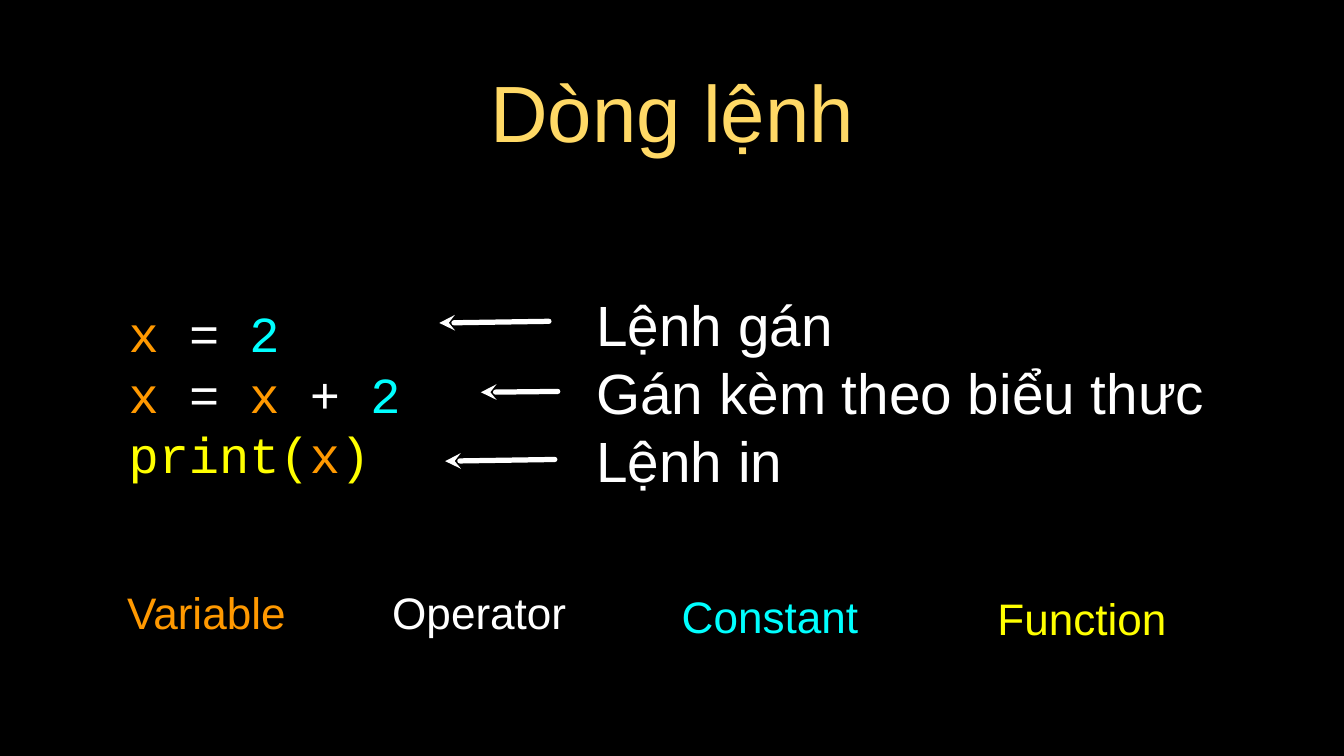
from lxml import etree
from pptx import Presentation
from pptx.dml.color import RGBColor
from pptx.enum.shapes import MSO_CONNECTOR
from pptx.enum.text import MSO_ANCHOR, PP_ALIGN
from pptx.oxml.ns import qn
from pptx.util import Inches, Pt

LEFT, CENTER = PP_ALIGN.LEFT, PP_ALIGN.CENTER
MIDDLE = MSO_ANCHOR.MIDDLE
STRAIGHT = MSO_CONNECTOR.STRAIGHT
SANS, MONO = "Arial", "Courier New"
GOLD, WHITE = "FFD966", "FFFFFF"
ORANGE, CYAN, YELLOW = "FF9900", "00FFFF", "FFFF00"
COLS, ROWS = 32, 18


def paint(code):
    return RGBColor.from_string(code)


class Deck:
    """Holds the style and the current slide; lengths are grid cells."""

    frame = {
        "margin_left": 0, "margin_right": 0, "margin_top": 0,
        "margin_bottom": 0, "word_wrap": True, "vertical_anchor": MIDDLE,
    }

    def __init__(self):
        self.prs = Presentation()
        self.prs.slide_width, self.prs.slide_height = Inches(17.78), Inches(10)
        self.slide = self.prs.slides.add_slide(self.prs.slide_layouts[6])
        fill = self.slide.background.fill
        fill.solid()
        fill.fore_color.rgb = paint("000000")

    def grid(self, col, row):
        return (round(self.prs.slide_width * col / COLS),
                round(self.prs.slide_height * row / ROWS))

    def text(self, box, lines, size, font=SANS, align=LEFT):
        """Each line is a list of (text, colour) runs."""
        shape = self.slide.shapes.add_textbox(
            *self.grid(*box[:2]), *self.grid(*box[2:]))
        body = shape.text_frame
        for name, value in self.frame.items():
            setattr(body, name, value)
        form = {"size": Pt(size), "name": font}
        for i, line in enumerate(lines):
            para = body.add_paragraph() if i else body.paragraphs[0]
            para.alignment = align
            for words, color in line:
                run = para.add_run()
                run.text = words
                for name, value in form.items():
                    setattr(run.font, name, value)
                run.font.color.rgb = paint(color)

    def arrow(self, tip, end):
        """A line from end that points at tip."""
        wire = self.slide.shapes.add_connector(
            STRAIGHT, *self.grid(*tip), *self.grid(*end))
        wire.line.width = Pt(5)
        wire.line.color.rgb = paint(WHITE)
        ln = wire.line._get_or_add_ln()
        ln.set("cap", "rnd")
        etree.SubElement(ln, qn("a:round"))
        etree.SubElement(ln, qn("a:headEnd"), type="stealth")
        etree.SubElement(wire._element.spPr, qn("a:effectLst"))


def main():
    deck = Deck()

    # Title
    deck.text((1.6, 1.55, 28.8, 2.18), [[("Dòng lệnh", GOLD)]], 76,
              align=CENTER)

    # Code, coloured by the role of each token
    var, equal, two = ("x ", ORANGE), ("= ", WHITE), ("2", CYAN)
    code = [
        [var, equal, two],
        [var, equal, var, ("+ ", WHITE), two],
        [("print(", YELLOW), ("x", ORANGE), (")", YELLOW)],
    ]
    deck.text((3.06, 5.38, 7.88, 7.96), code, 48, MONO)

    # Legend of the roles
    for col, row, width, role, color in (
        (2.61, 13.86, 4.61, "Variable", ORANGE),
        (9.25, 13.86, 4.32, "Operator", WHITE),
        (15.91, 13.95, 4.84, "Constant", CYAN),
        (22.8, 13.99, 5.92, "Function", YELLOW),
    ):
        deck.text((col, row, width, 1.42), [[(role, color)]], 42,
                  align=CENTER)

    # What each line of code does
    notes = ("Lệnh gán", "Gán kèm theo biểu thưc", "Lệnh in")
    deck.text((14.2, 5.35, 17.33, 7.96), [[(n, WHITE)] for n in notes], 54)

    # Arrows from the notes to the code
    for tip, end in (
        ((10.46, 7.69), (13.07, 7.65)),
        ((11.45, 9.34), (13.28, 9.32)),
        ((10.6, 10.98), (13.21, 10.94)),
    ):
        deck.arrow(tip, end)

    deck.prs.save("out.pptx")


if __name__ == "__main__":
    main()
